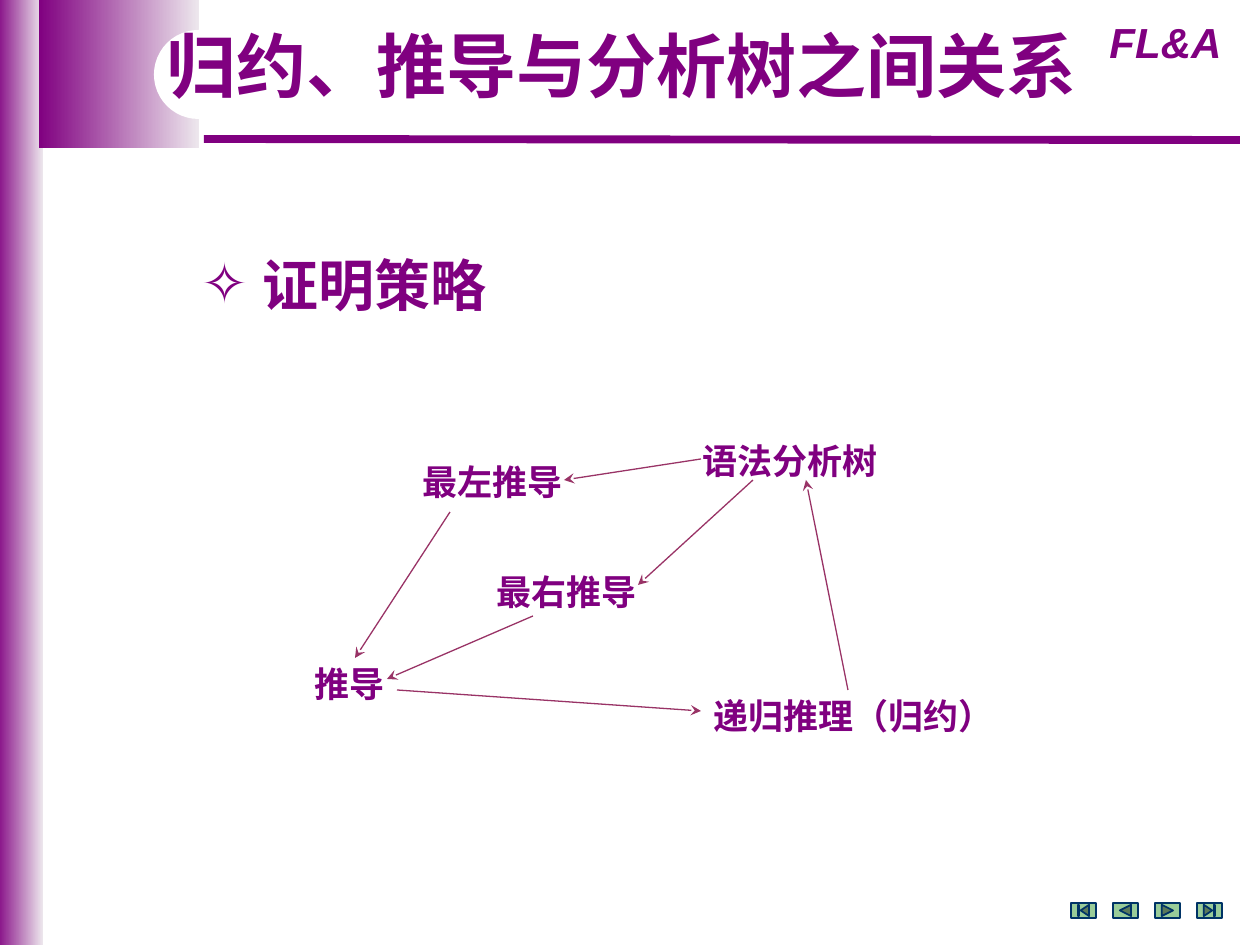
from pptx import Presentation
from pptx.dml.color import RGBColor
from pptx.enum.shapes import MSO_CONNECTOR, MSO_SHAPE
from pptx.enum.text import MSO_ANCHOR, MSO_AUTO_SIZE, PP_ALIGN
from pptx.oxml.ns import qn
from pptx.util import Pt
from lxml.etree import SubElement

SCALE = 914400 / 126


def px(size):
    return round(size * SCALE)


def tint(code):
    return RGBColor.from_string(code)


def apply(target, values):
    for name, value in values.items():
        setattr(target, name, value)


class Page:
    ink, wine, pale = "800080", "993366", "EDE7ED"
    green, navy, white = "99CC99", "003366", "FFFFFF"

    def __init__(self, deck):
        self.slide = deck.slides.add_slide(deck.slide_layouts[1])
        self.shapes = self.slide.shapes

    def shape(self, kind, box, fill, edge=None):
        item = self.shapes.add_shape(kind, *map(px, box))
        item.shadow.inherit = False
        item.fill.solid()
        item.fill.fore_color.rgb = tint(fill)
        if edge:
            item.line.color.rgb = tint(edge)
            item.line.width = Pt(1)
        else:
            item.line.fill.background()
        return item

    def fade(self, box):
        fill = self.shape(MSO_SHAPE.RECTANGLE, box, self.ink).fill
        fill.gradient()
        fill.gradient_angle = 0
        for stop, code in zip(fill.gradient_stops, (self.ink, self.pale)):
            stop.color.rgb = tint(code)

    def line(self, ends, color, width, arrow=False):
        item = self.shapes.add_connector(MSO_CONNECTOR.STRAIGHT, *map(px, ends))
        item.line.color.rgb = tint(color)
        item.line.width = Pt(width)
        props = item.element.spPr
        if arrow:
            SubElement(props.find(qn("a:ln")), qn("a:tailEnd"), type="stealth")
        SubElement(props, qn("a:effectLst"))

    def letter(self, item, text, size, wrap=False, face="Arial", slant=False, **form):
        frame = item.text_frame
        apply(frame, {"auto_size": MSO_AUTO_SIZE.NONE, "word_wrap": wrap,
                      "vertical_anchor": MSO_ANCHOR.MIDDLE})
        para = frame.paragraphs[0]
        apply(para, {"space_before": Pt(0), **form})
        run = para.add_run()
        run.text = text
        apply(run.font, {"name": face, "size": Pt(size), "bold": True, "italic": slant})
        run.font.color.rgb = tint(self.ink)
        return para

    def text(self, box, text, size, **form):
        return self.letter(self.shapes.add_textbox(*map(px, box)), text, size, **form)

    def holder(self, index, box, text, size, **form):
        item = self.slide.placeholders[index]
        apply(item, dict(zip(("left", "top", "width", "height"), map(px, box))))
        item.element.getparent().append(item.element)
        return self.letter(item, text, size, **form)

    def bullet(self, para, sign, indent):
        props = para._p.get_or_add_pPr()
        props.set("marL", str(px(indent)))
        props.set("indent", str(-px(indent)))
        SubElement(props, qn("a:buChar"), char=sign)


deck = Presentation()
apply(deck, {"slide_width": px(1260), "slide_height": px(945)})
page = Page(deck)

for box in ((-5, 0, 48, 949), (39, 0, 160, 148)):
    page.fade(box)
page.line((204, 139, 1240, 140), page.ink, 4.5)
page.text((1086, 10, 159, 63), "FL&A", 24, wrap=True, slant=True,
          alignment=PP_ALIGN.CENTER)
pill = page.shape(MSO_SHAPE.ROUNDED_RECTANGLE, (154, 30, 456, 89), page.white)
pill.adjustments[0] = 0.5

LABELS = (
    (701, 688, 307, "递归推理（归约）"),
    (690, 433, 202, "语法分析树"),
    (410, 454, 166, "最左推导"),
    (484, 564, 166, "最右推导"),
    (302, 656, 96, "推导"),
)
for left, top, width, text in LABELS:
    page.text((left, top, width, 54), text, 20)

ARROWS = (
    (848, 690, 806, 480),
    (701, 459, 564, 480),
    (753, 480, 638, 585),
    (450, 512, 355, 658),
    (533, 616, 387, 679),
    (397, 690, 701, 711),
)
for ends in ARROWS:
    page.line(ends, page.wine, 0.75, arrow=True)

BUTTONS = (
    MSO_SHAPE.ACTION_BUTTON_BEGINNING,
    MSO_SHAPE.ACTION_BUTTON_BACK_OR_PREVIOUS,
    MSO_SHAPE.ACTION_BUTTON_FORWARD_OR_NEXT,
    MSO_SHAPE.ACTION_BUTTON_END,
)
for place, kind in enumerate(BUTTONS):
    page.shape(kind, (1071 + 42 * place, 903, 25, 15), page.green, page.navy)

point = page.holder(1, (189, 244, 630, 80), "证明策略", 32, wrap=True)
page.bullet(point, "✧", 61)
page.holder(0, (154, 26, 935, 88), "归约、推导与分析树之间关系", 40,
            face="Times New Roman", alignment=PP_ALIGN.CENTER, line_spacing=0.9)

deck.save("out.pptx")
